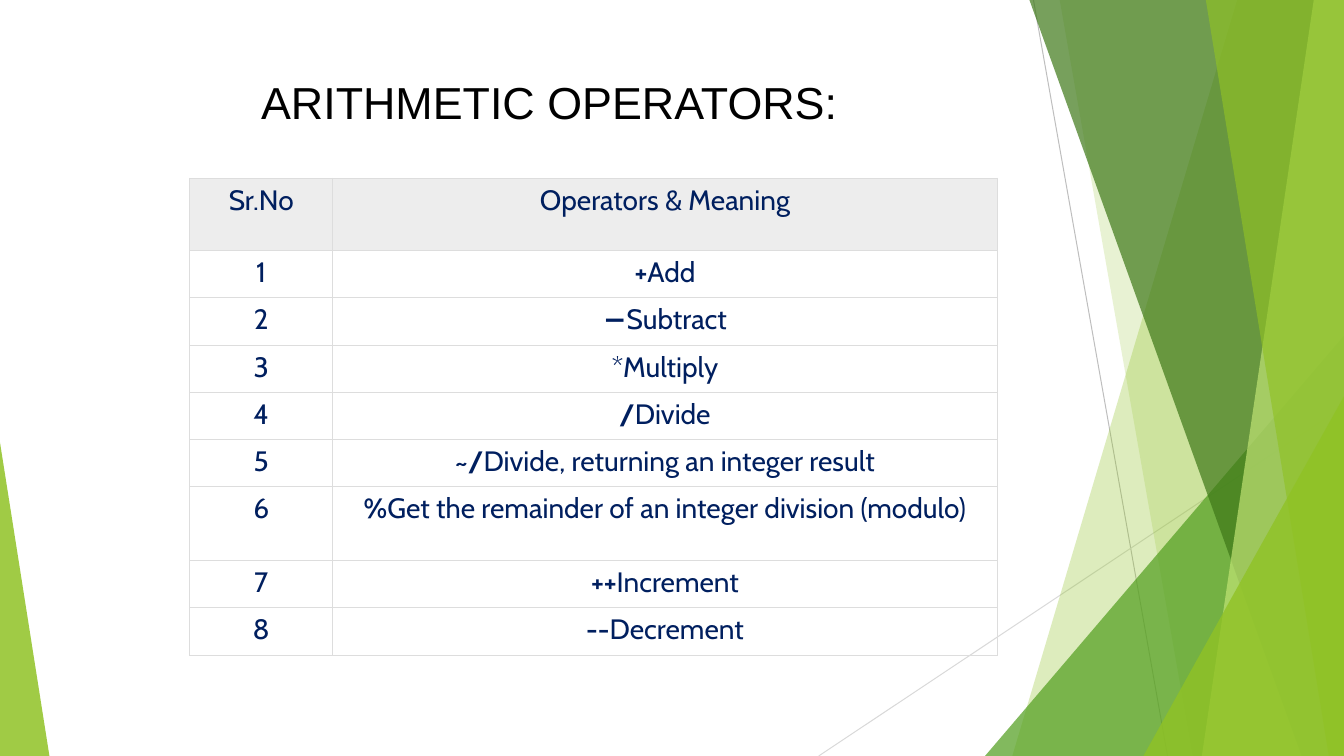
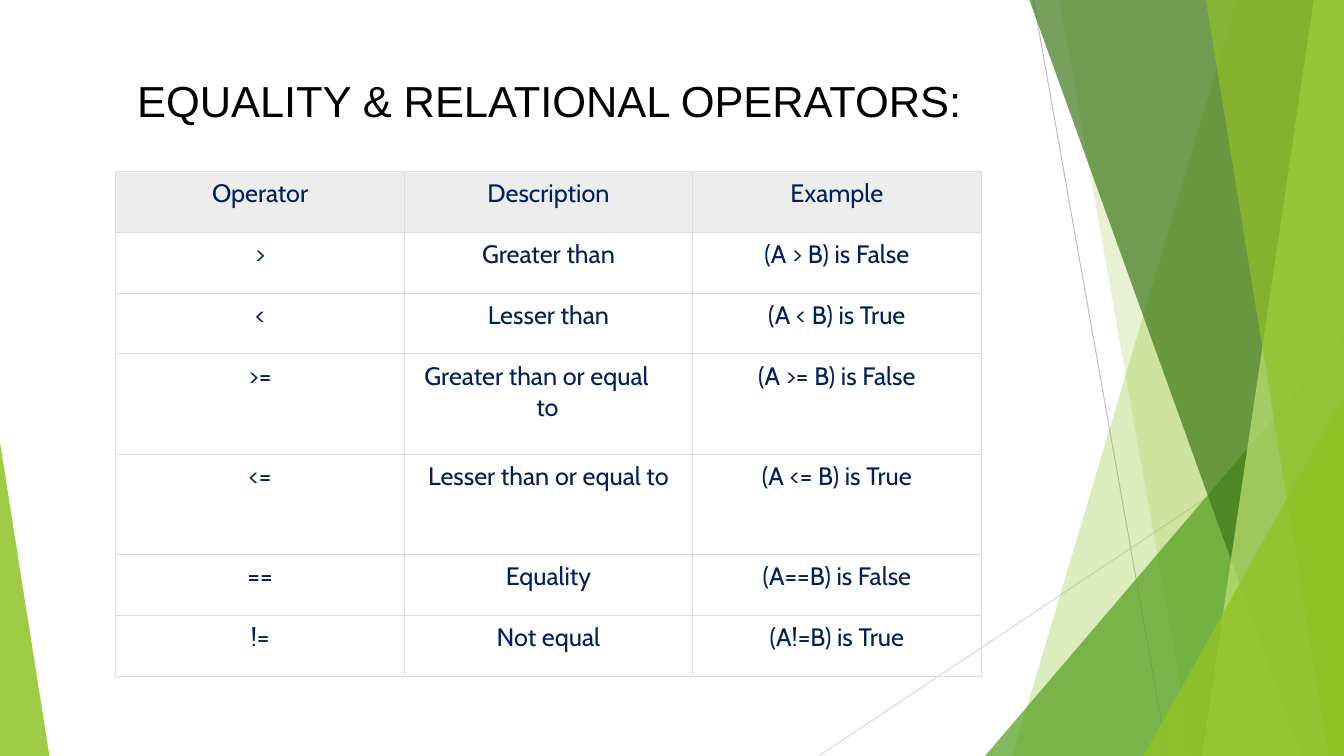
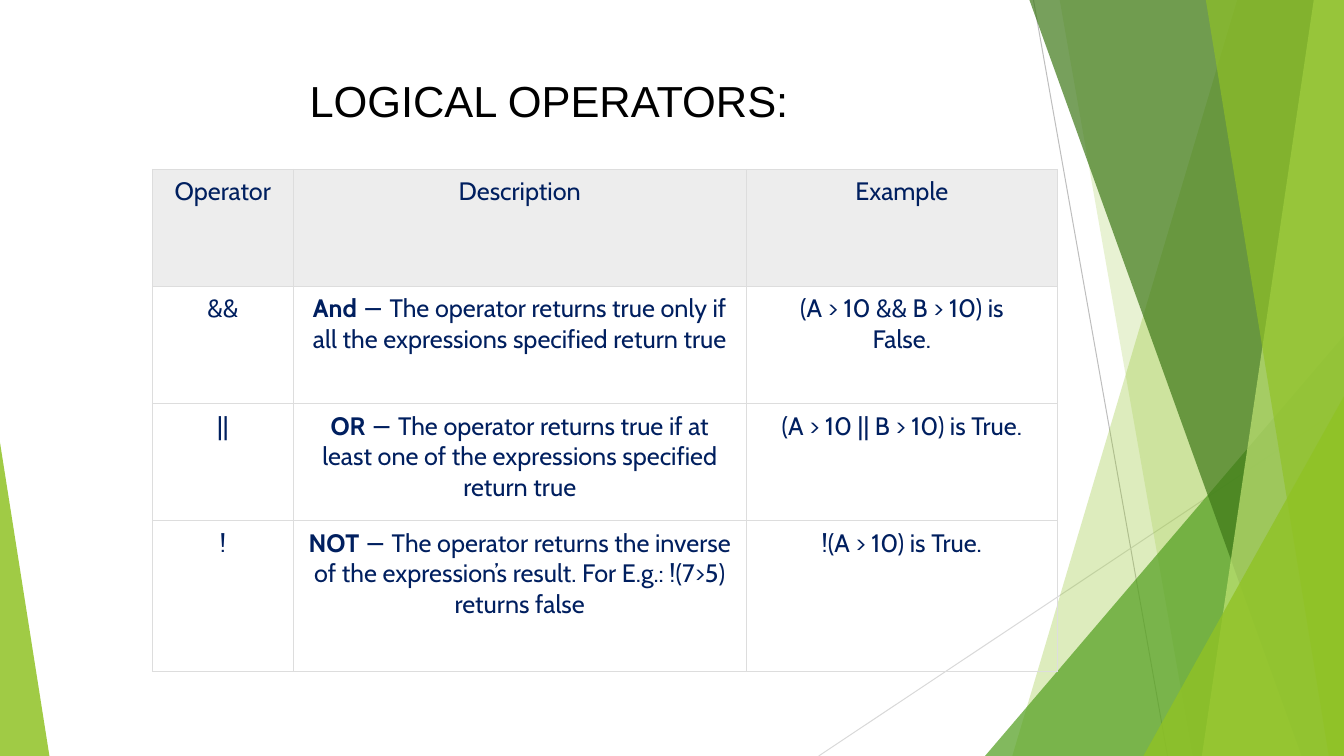
import pptx
import pptx.dml.color
import pptx.enum.shapes
import pptx.enum.text
import pptx.oxml.ns
import pptx.util
import lxml.etree

Inches = pptx.util.Inches
Pt = pptx.util.Pt
ALIGN = pptx.enum.text.PP_ALIGN

WIDTH, HEIGHT = 13.33, 7.5
COLORS = {
    "title": "000000", "cell_text": "001F5F", "header": "EDEDED", "border": "DDDDDD",
    "dark_ray": "BEBEBE", "light_ray": "D9D9D9",
    "lime": "90C225", "leaf": "539F20", "forest": "3E7818", "pale": "C0E374",
}
TITLE_FONT, TABLE_FONT = "Arial", "Cabin"
TITLE_BOX = (0.83, 0.69, 11.68, 0.76)

# Rays: colour, start, end
RAYS = [
    ("dark_ray", (10.25, 0), (11.58, HEIGHT)),
    ("light_ray", (WIDTH, 4.03), (8.12, HEIGHT)),
]
# Facets: colour, opacity in percent, corners
BOTTOM_RIGHT, TOP_RIGHT = (WIDTH, HEIGHT), (WIDTH, 0)
FACETS = [
    ("lime", 30, [TOP_RIGHT, (12.27, 0), (10.04, HEIGHT), BOTTOM_RIGHT]),
    ("lime", 20, [TOP_RIGHT, (10.51, 0), (11.83, HEIGHT), BOTTOM_RIGHT]),
    ("leaf", 72, [(WIDTH, 3.33), (9.77, HEIGHT), BOTTOM_RIGHT]),
    ("forest", 70, [TOP_RIGHT, (10.21, 0), (12.91, HEIGHT), BOTTOM_RIGHT]),
    ("pale", 70, [TOP_RIGHT, (13.03, 0), (11.92, HEIGHT), BOTTOM_RIGHT]),
    ("lime", 65, [TOP_RIGHT, (11.96, 0), (13.18, HEIGHT), BOTTOM_RIGHT]),
    ("lime", 80, [(WIDTH, 3.93), (11.34, HEIGHT), BOTTOM_RIGHT]),
    ("lime", 85, [(0, 4.39), (0, HEIGHT), (0.49, HEIGHT)]),
]

# Cell text: ** switches bold on and off, a line end starts a paragraph, \v breaks a line.
SLIDES = [
    {
        "title": "ARITHMETIC OPERATORS:", "title_size": 32, "title_indent": 1.76,
        "box": (1.88, 1.77, 8.01, 4.73),
        "columns": [1.42, 6.58],
        "rows": [0.72] + [0.47] * 5 + [0.74] + [0.47] * 2,
        "format": {"size": 20, "top": 0.05, "before": 3.7},
        "cells": [
            ["Sr.No", "Operators & Meaning"],
            ["1", "**+**Add"],
            ["2", "**−**Subtract"],
            ["3", "*Multiply"],
            ["4", "**/**Divide"],
            ["5", "**~/**Divide, returning an integer result"],
            ["6", "**%**Get the remainder of an integer division (modulo)"],
            ["7", "**++**Increment"],
            ["8", "**--**Decrement"],
        ],
    },
    {
        "title": "EQUALITY & RELATIONAL OPERATORS:", "title_size": 31, "title_indent": 0.53,
        "box": (1.15, 1.7, 8.58, 5.01),
        "columns": [1, 1, 1],
        "rows": [0.6] * 3 + [0.99] * 2 + [0.6] * 2,
        "format": {"size": 18, "top": 0.07, "before": 4.9},
        "hanging": {(3, 1): (1.31, -1.11)},
        "cells": [
            ["Operator", "Description", "Example"],
            [">", "Greater than", "(A > B) is False"],
            ["<", "Lesser than", "(A < B) is True"],
            [">=", "Greater than or equal\vto", "(A >= B) is False"],
            ["<=", "Lesser than or equal to", "(A <= B) is True"],
            ["==", "Equality", "(A==B) is False"],
            ["!=", "Not equal", "(A!=B) is True"],
        ],
    },
    {
        "title": "LOGICAL OPERATORS:", "title_size": 31, "title_indent": 2.24,
        "box": (1.51, 1.68, 8.98, 4.98),
        "columns": [1.4, 4.49, 3.09],
        "rows": [1.16] * 3 + [1.49],
        "format": {"size": 18, "top": 0.07, "before": 4.9, "side": 0.13},
        "cells": [
            ["Operator", "Description", "Example"],
            ["&&", "**And **− The operator returns true only if all the expressions "
                   "specified return true", "(A > 10 && B > 10) is\nFalse."],
            ["||", "**OR **− The operator returns true if at least one of the expressions "
                   "specified return true", "(A > 10 || B > 10) is True."],
            ["!", "**NOT **− The operator returns the inverse of the expression’s result. "
                  "For E.g.: !(7>5) returns false", "!(A > 10) is True."],
        ],
    },
]


def rgb(name):
    return pptx.dml.color.RGBColor.from_string(COLORS[name])


def add_child(parent, tag, **attributes):
    return lxml.etree.SubElement(parent, pptx.oxml.ns.qn(tag), attributes)


def set_all(target, values):
    for name, value in values.items():
        setattr(target, name, value)


def style_font(font, name, size, color, bold=False):
    set_all(font, {"name": name, "size": Pt(size), "bold": bold})
    font.color.rgb = rgb(color)


def draw_ray(slide, color, start, end):
    ray = slide.shapes.add_connector(
        pptx.enum.shapes.MSO_CONNECTOR.STRAIGHT, *map(Inches, start + end))
    ray.line.color.rgb = rgb(color)
    ray.line.width = Pt(0.72)
    add_child(ray._element.spPr, "a:effectLst")


def draw_facet(slide, color, opacity, corners):
    first, *others = [tuple(map(Inches, corner)) for corner in corners]
    outline = slide.shapes.build_freeform(*first)
    outline.add_line_segments(others, close=True)
    facet = outline.convert_to_shape()
    facet.shadow.inherit = False
    facet.fill.solid()
    facet.fill.fore_color.rgb = rgb(color)
    facet.line.fill.background()
    tint = facet._element.spPr.find(".//" + pptx.oxml.ns.qn("a:srgbClr"))
    add_child(tint, "a:alpha", val=str(opacity * 1000))


def draw_backdrop(slide):
    for ray in RAYS:
        draw_ray(slide, *ray)
    for facet in FACETS:
        draw_facet(slide, *facet)


def add_title(slide, box, text, size, indent):
    frame = slide.shapes.add_textbox(*map(Inches, box)).text_frame
    set_all(frame, {
        "word_wrap": True, "margin_left": Inches(indent), "margin_right": 0,
        "margin_top": Inches(0.05), "margin_bottom": 0,
    })
    run = frame.paragraphs[0].add_run()
    run.text = text
    style_font(run.font, TITLE_FONT, size, "title")


def draw_borders(cell):
    properties = cell._tc.get_or_add_tcPr()
    for side in ("a:lnL", "a:lnR", "a:lnT", "a:lnB"):
        edge = add_child(properties, side, w=str(Pt(0.75)))
        add_child(add_child(edge, "a:solidFill"), "a:srgbClr", val=COLORS["border"])


def write_paragraph(paragraph, text, size):
    for index, part in enumerate(text.split("**")):
        for number, line in enumerate(part.split("\v")):
            if number:
                paragraph.add_line_break()
            if line:
                run = paragraph.add_run()
                run.text = line
                style_font(run.font, TABLE_FONT, size, "cell_text", bold=index % 2 == 1)


def fill_cell(cell, text, is_header, size, top, before, side=0, hanging=None):
    set_all(cell, {
        "margin_left": Inches(side), "margin_right": Inches(side),
        "margin_top": Inches(top), "margin_bottom": 0,
    })
    draw_borders(cell)
    if is_header:
        cell.fill.solid()
        cell.fill.fore_color.rgb = rgb("header")
    else:
        cell.fill.background()
    for index, line in enumerate(text.split("\n")):
        frame = cell.text_frame
        paragraph = frame.add_paragraph() if index else frame.paragraphs[0]
        paragraph.alignment = ALIGN.LEFT if hanging else ALIGN.CENTER
        paragraph.space_before = Pt(0 if index else before)
        if hanging:
            properties = paragraph._p.get_or_add_pPr()
            for name, length in zip(("marL", "indent"), hanging):
                properties.set(name, str(Inches(length)))
        write_paragraph(paragraph, line, size)


def share_out(total, weights):
    return [Inches(total * weight / sum(weights)) for weight in weights]


def add_operator_table(slide, box, columns, rows, cells, cell_format, hanging):
    table = slide.shapes.add_table(len(rows), len(columns), *map(Inches, box)).table
    set_all(table, {"first_row": False, "horz_banding": False})
    for column, width in zip(table.columns, share_out(box[2], columns)):
        column.width = width
    for row, height in zip(table.rows, share_out(box[3], rows)):
        row.height = height
    for r, texts in enumerate(cells):
        for c, text in enumerate(texts):
            fill_cell(table.cell(r, c), text, r == 0,
                      hanging=hanging.get((r, c)), **cell_format)


def build_slide(deck, content):
    slide = deck.slides.add_slide(deck.slide_layouts[6])
    draw_backdrop(slide)
    add_title(slide, TITLE_BOX, content["title"], content["title_size"], content["title_indent"])
    add_operator_table(slide, content["box"], content["columns"], content["rows"],
                       content["cells"], content["format"], content.get("hanging", {}))


def main():
    deck = pptx.Presentation()
    set_all(deck, {"slide_width": Inches(WIDTH), "slide_height": Inches(HEIGHT)})
    for content in SLIDES:
        build_slide(deck, content)
    deck.save("out.pptx")


if __name__ == "__main__":
    main()
